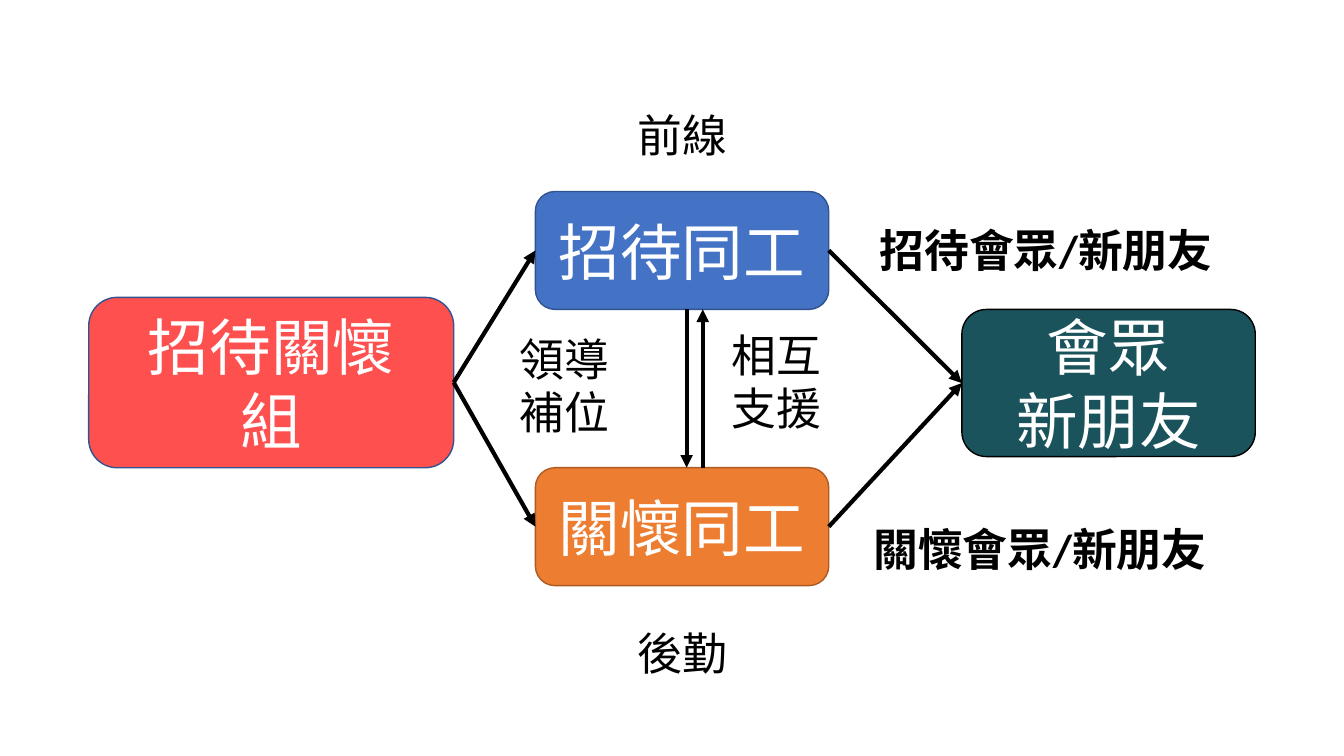
from lxml.etree import SubElement
from pptx import Presentation
from pptx.dml.color import RGBColor
from pptx.enum.shapes import MSO_CONNECTOR, MSO_SHAPE
from pptx.enum.text import MSO_ANCHOR, PP_ALIGN
from pptx.oxml.ns import qn
from pptx.util import Inches, Pt

BLACK = RGBColor(0x00, 0x00, 0x00)
WHITE = RGBColor(0xFF, 0xFF, 0xFF)
BLUE = RGBColor(0x44, 0x72, 0xC4)
NAVY = RGBColor(0x31, 0x53, 0x8F)
ORANGE = RGBColor(0xED, 0x7D, 0x31)
BROWN = RGBColor(0xAC, 0x5B, 0x23)
TEAL = RGBColor(0x1A, 0x53, 0x5C)
RED = RGBColor(0xFF, 0x50, 0x50)

# Grid in inches: (start, extent)
COLUMNS = {
    "team": (0.88, 3.62), "workers": (5.31, 2.91), "guests": (9.54, 2.91),
    "stage": (6.04, 1.46), "lead": (4.91, 1.38), "support": (6.97, 1.46),
    "greet": (8.57, 3.61), "care": (8.51, 3.61),
}
ROWS = {
    "front": (1.01, 0.66), "upper": (1.9, 1.17), "lower": (4.64, 1.17),
    "back": (6.14, 0.66), "team": (2.95, 1.69), "guests": (3.07, 1.46),
    "lead": (3.25, 1.14), "support": (3.16, 1.24),
    "greet": (2.11, 0.74), "care": (5.07, 0.74),
}

# name: (column, row, lines, fill, outline)
ROLES = {
    "reception": ("workers", "upper", ["招待同工"], BLUE, NAVY),
    "caring": ("workers", "lower", ["關懷同工"], ORANGE, BROWN),
    "guests": ("guests", "guests", ["會眾", "新朋友"], TEAL, BLACK),
    "team": ("team", "team", ["招待關懷", "組"], RED, NAVY),
}
# (column, row, text, bold)
LABELS = [
    ("stage", "front", "前線", False),
    ("stage", "back", "後勤", False),
    ("lead", "lead", "領導補位", False),
    ("support", "support", "相互支援", False),
    ("greet", "greet", "招待會眾/新朋友", True),
    ("care", "care", "關懷會眾/新朋友", True),
]
FLOWS = [("team", "reception"), ("team", "caring"),
         ("reception", "guests"), ("caring", "guests")]
LEFT_SITE, RIGHT_SITE = 1, 3
DOWN_X, UP_X = 6.81, 6.97


def cell(column, row):
    (left, width), (top, height) = COLUMNS[column], ROWS[row]
    return [Inches(length) for length in (left, top, width, height)]


def write(shape, lines, size, font, color, bold=False):
    frame = shape.text_frame
    frame.word_wrap = True
    frame.vertical_anchor = MSO_ANCHOR.MIDDLE
    for index, line in enumerate(lines):
        para = frame.add_paragraph() if index else frame.paragraphs[0]
        para.alignment = PP_ALIGN.CENTER
        span = para.add_run()
        span.text = line
        span.font.size = Pt(size)
        span.font.name = font
        span.font.bold = bold
        span.font.color.rgb = color


def add_role(page, column, row, lines, fill, outline):
    box = page.shapes.add_shape(MSO_SHAPE.ROUNDED_RECTANGLE, *cell(column, row))
    box.shadow.inherit = False
    box.fill.solid()
    box.fill.fore_color.rgb = fill
    box.line.color.rgb = outline
    box.line.width = Pt(1)
    write(box, lines, 44, "Arial", WHITE)
    return box


def add_arrow(page, start=(0, 0), end=(0, 0)):
    points = [Inches(length) for length in (*start, *end)]
    arrow = page.shapes.add_connector(MSO_CONNECTOR.STRAIGHT, *points)
    arrow.line.color.rgb = BLACK
    arrow.line.width = Pt(3)
    properties = arrow._element.spPr
    SubElement(properties.find(qn("a:ln")), qn("a:tailEnd"), type="triangle")
    SubElement(properties, qn("a:effectLst"))
    return arrow


def main():
    deck = Presentation()
    deck.slide_width, deck.slide_height = Inches(13.33), Inches(7.5)
    page = deck.slides.add_slide(deck.slide_layouts[6])

    boxes = {name: add_role(page, *role) for name, role in ROLES.items()}

    for source, target in FLOWS:
        arrow = add_arrow(page)
        arrow.begin_connect(boxes[source], RIGHT_SITE)
        arrow.end_connect(boxes[target], LEFT_SITE)

    upper_edge, lower_edge = sum(ROWS["upper"]), ROWS["lower"][0]
    add_arrow(page, (DOWN_X, upper_edge), (DOWN_X, lower_edge))
    add_arrow(page, (UP_X, lower_edge), (UP_X, upper_edge))

    for column, row, text, bold in LABELS:
        label = page.shapes.add_textbox(*cell(column, row))
        write(label, [text], 32, "Calibri", BLACK, bold)

    deck.save("out.pptx")


if __name__ == "__main__":
    main()
